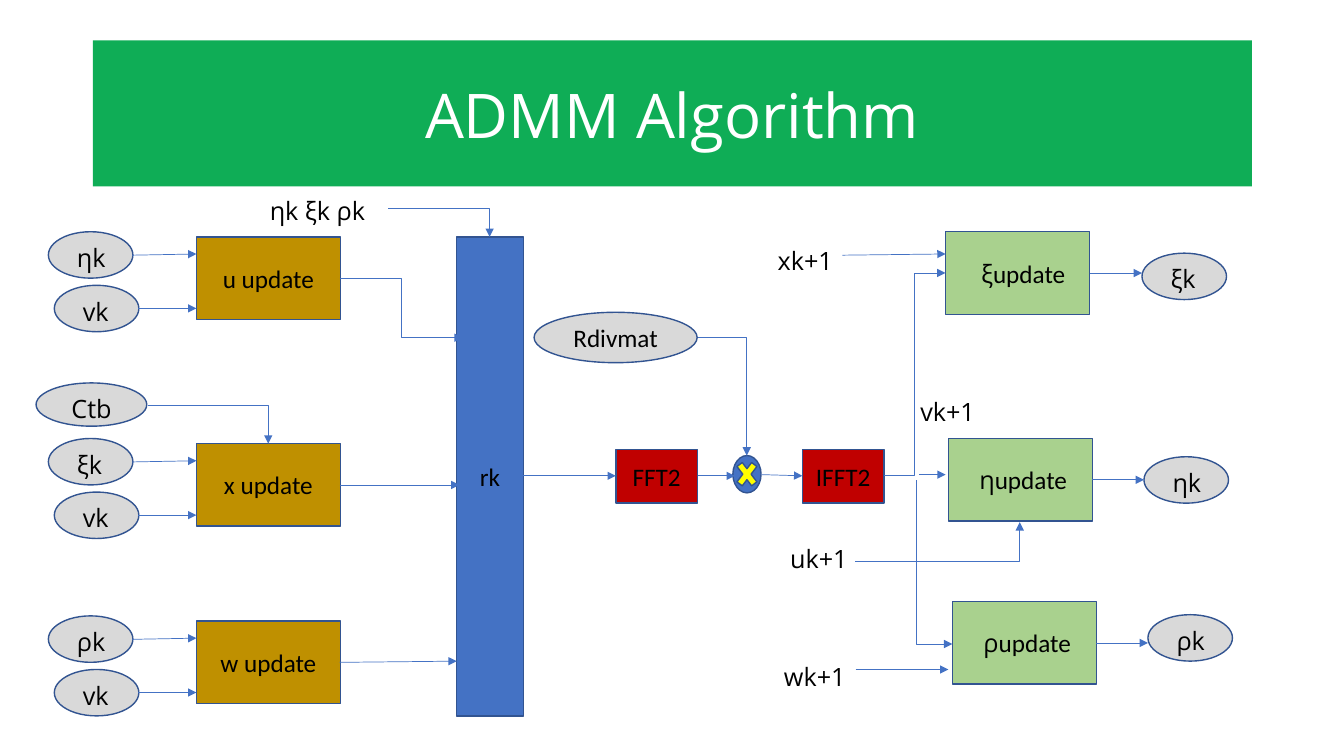
from dataclasses import dataclass

import pptx
import pptx.dml.color
import pptx.enum.shapes
import pptx.enum.text
import pptx.oxml.ns
import pptx.oxml.xmlchemy
import pptx.util

COLORS = {
    "title": "0FAD56", "oval": "D9D9D9", "update": "BF9000", "blue": "4472C4",
    "outline": "325491", "transform": "C00000", "result": "A9D18E",
    "cross": "FFFF00", "black": "000000", "white": "FFFFFF",
}
Cm = pptx.util.Cm
SHAPE = pptx.enum.shapes.MSO_SHAPE
ALIGN = pptx.enum.text.PP_ALIGN
ANCHOR = pptx.enum.text.MSO_ANCHOR
SANS, BODY = "Open Sans", "Calibri"
BLOCK_WIDTH, BLOCK_HEIGHT = 3.63, 2.08
UPDATE_LEFT = 4.95
OVAL_WIDTH, OVAL_HEIGHT = 2.13, 1.17


@dataclass
class Block:
    left: float
    top: float
    width: float
    height: float
    fill: str
    text: str = ""
    kind: int = SHAPE.RECTANGLE


@dataclass
class Update:
    name: str
    source: str
    top: float


@dataclass
class Result:
    symbol: str
    left: float
    top: float
    oval_left: float
    oval_top: float
    indent: float


@dataclass
class Label:
    text: str
    left: float
    top: float
    width: float
    align: int = ALIGN.RIGHT


@dataclass
class Arrow:
    """Runs straight, with one corner, or with two corners."""
    start: tuple[float, float]
    end: tuple[float, float]
    corners: int = 0
    head_at: str = "tailEnd"


UPDATES = [Update("u update", "ηk", 5.97), Update("x update", "ξk", 11.18),
           Update("w update", "ρk", 15.65)]
RESULTS = [Result("ξ", 23.83, 5.84, 28.78, 6.38, 0.28),
           Result("η", 23.9, 11.05, 28.83, 11.51, 0.14),
           Result("ρ", 24, 15.16, 28.93, 15.49, 0.14)]
BLOCKS = [
    Block(11.51, 5.97, 1.68, 12.07, "blue", "rk"),
    Block(15.52, 11.33, 2.06, 1.35, "transform", "FFT2"),
    Block(18.47, 11.48, 0.71, 0.94, "blue", kind=SHAPE.FLOWCHART_CONNECTOR),
    Block(18.47, 11.48, 0.71, 0.94, "cross", kind=SHAPE.MATH_MULTIPLY),
    Block(20.22, 11.33, 2.06, 1.35, "transform", "IFFT2"),
    Block(13.46, 7.87, 4.11, 1.27, "oval", "Rdivmat", SHAPE.OVAL),
]
LABELS = [
    Label("ηk ξk ρk", 6.55, 4.8, 4.39, ALIGN.LEFT),
    Label("vk+1", 22.86, 9.86, 1.96),
    Label("xk+1", 19.28, 6.05, 1.96),
    Label("uk+1", 19.2, 13.56, 2.41),
    Label("wk+1", 19.15, 16.54, 2.41),
]
ARROWS = [
    Arrow((3.73, 10.21), (6.76, 11.18), 1),
    Arrow((8.56, 7.01), (11.66, 8.51), 2),
    Arrow((8.56, 12.22), (11.58, 12.22)),
    Arrow((8.56, 16.69), (11.51, 16.66)),
    Arrow((9.78, 5.26), (12.34, 5.97), 1),
    Arrow((13.18, 11.99), (15.52, 11.99)),
    Arrow((17.58, 11.99), (18.52, 11.99)),
    Arrow((19.2, 11.96), (20.22, 11.99)),
    Arrow((17.6, 8.51), (18.82, 11.48), 1),
    Arrow((22.28, 11.99), (23.83, 6.88), 2),
    Arrow((24, 16.23), (23.09, 12.09), 1, "headEnd"),
    Arrow((23.16, 11.96), (23.83, 11.96)),
    Arrow((21.23, 6.43), (23.83, 6.4)),
    Arrow((21.56, 16.87), (23.9, 16.87)),
    Arrow((21.56, 14.15), (25.7, 13.16), 1),
]


def rgb(name: str):
    return pptx.dml.color.RGBColor.from_string(COLORS[name])


def add_span(para, text: str, font: str = BODY, size: float = 18, color: str = "black") -> None:
    span = para.add_run()
    span.text = text
    span.font.name = font
    span.font.size = pptx.util.Pt(size)
    span.font.color.rgb = rgb(color)


def add_block(shapes, block: Block, outlined: bool = True, **text_format):
    """Adds a filled shape and returns it."""
    box = shapes.add_shape(block.kind, Cm(block.left), Cm(block.top),
                           Cm(block.width), Cm(block.height))
    box.shadow.inherit = False
    box.fill.solid()
    box.fill.fore_color.rgb = rgb(block.fill)
    if outlined:
        box.line.color.rgb = rgb("outline")
        box.line.width = pptx.util.Pt(1)
    else:
        box.line.fill.background()
    box.text_frame.vertical_anchor = ANCHOR.MIDDLE
    para = box.text_frame.paragraphs[0]
    para.alignment = ALIGN.CENTER
    if block.text:
        add_span(para, block.text, **text_format)
    return box


def add_label(shapes, label: Label) -> None:
    box = shapes.add_textbox(Cm(label.left), Cm(label.top), Cm(label.width), Cm(1.02))
    box.text_frame.word_wrap = True
    para = box.text_frame.paragraphs[0]
    para.alignment = label.align
    add_span(para, label.text, font=SANS)


def add_oval(page, text: str, left: float, top: float, width: float = OVAL_WIDTH,
             height: float = OVAL_HEIGHT, inset: float = 0.47, label_width: float = 1.27) -> None:
    """Adds an oval grouped with its label."""
    group = page.shapes.add_group_shape()
    add_block(group.shapes, Block(left, top, width, height, "oval", kind=SHAPE.OVAL))
    add_label(group.shapes, Label(text, left + inset, top + 0.14, label_width, ALIGN.LEFT))


def add_arrow(page, arrow: Arrow) -> None:
    kinds = pptx.enum.shapes.MSO_CONNECTOR
    kind = kinds.ELBOW if arrow.corners else kinds.STRAIGHT
    line = page.shapes.add_connector(kind, *map(Cm, arrow.start + arrow.end))
    properties = line._element.spPr
    if arrow.corners == 1:
        properties.find(pptx.oxml.ns.qn("a:prstGeom")).set("prst", "bentConnector2")
    line.line.color.rgb = rgb("blue")
    line.line.width = pptx.util.Pt(0.5)
    head = pptx.oxml.xmlchemy.OxmlElement(f"a:{arrow.head_at}")
    head.set("type", "triangle")
    properties.get_or_add_ln().append(head)
    properties.append(pptx.oxml.xmlchemy.OxmlElement("a:effectLst"))


def add_update(page, update: Update) -> None:
    """Adds an update block with its two inputs."""
    top = update.top
    add_oval(page, update.source, 1.22, top - 0.13)
    add_oval(page, "vk", 1.37, top + 1.22)
    add_block(page.shapes, Block(UPDATE_LEFT, top, BLOCK_WIDTH, BLOCK_HEIGHT,
                                 "update", update.name))
    add_arrow(page, Arrow((3.33, top + 0.46), (UPDATE_LEFT, top + 0.43)))
    add_arrow(page, Arrow((3.48, top + 1.8), (UPDATE_LEFT, top + 1.8)))


def add_result(page, result: Result) -> None:
    """Adds a result block with its output."""
    box = add_block(page.shapes, Block(result.left, result.top, BLOCK_WIDTH,
                                       BLOCK_HEIGHT, "result"))
    box.text_frame.margin_left = Cm(0.25 + result.indent)
    para = box.text_frame.paragraphs[0]
    add_span(para, result.symbol, font=SANS)
    add_span(para, "update")
    add_oval(page, result.symbol + "k", result.oval_left, result.oval_top)
    middle = result.top + BLOCK_HEIGHT / 2
    add_arrow(page, Arrow((result.left + BLOCK_WIDTH, middle), (result.oval_left, middle)))


def main() -> None:
    deck = pptx.Presentation()
    deck.slide_width, deck.slide_height = Cm(33.87), Cm(19.05)
    page = deck.slides.add_slide(deck.slide_layouts[6])
    add_block(page.shapes, Block(2.34, 1.02, 29.21, 3.68, "title", "ADMM Algorithm"),
              outlined=False, font=SANS, size=44, color="white")
    for update in UPDATES:
        add_update(page, update)
    add_oval(page, "Ctb", 0.91, 9.65, 2.79, 1.09, 0.64, 1.83)
    for block in BLOCKS:
        add_block(page.shapes, block)
    for result in RESULTS:
        add_result(page, result)
    for arrow in ARROWS:
        add_arrow(page, arrow)
    for label in LABELS:
        add_label(page.shapes, label)
    deck.save("out.pptx")


if __name__ == "__main__":
    main()
